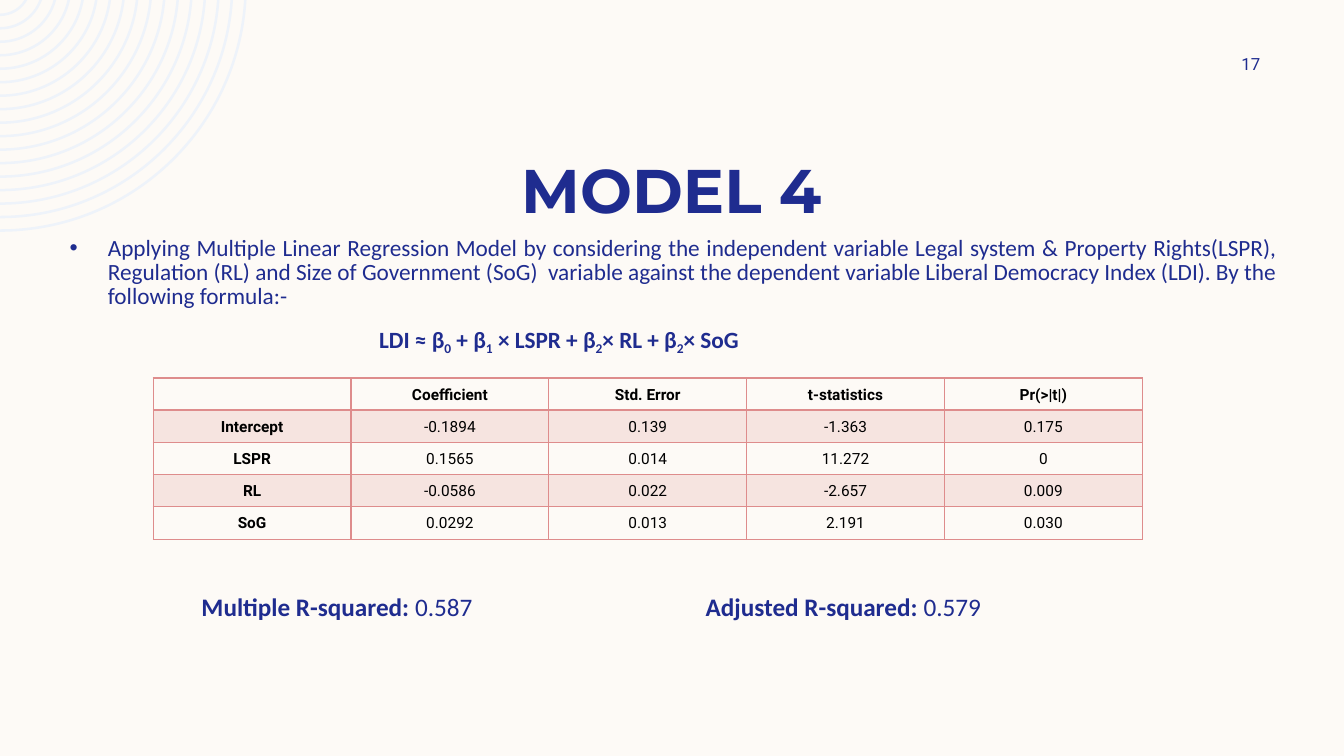
import math

from lxml import etree
from pptx import Presentation
from pptx.dml.color import RGBColor
from pptx.enum.text import MSO_ANCHOR, MSO_AUTO_SIZE, PP_ALIGN
from pptx.oxml.ns import qn
from pptx.util import Inches, Pt

BOTTOM, MIDDLE = MSO_ANCHOR.BOTTOM, MSO_ANCHOR.MIDDLE
LEFT, CENTER = PP_ALIGN.LEFT, PP_ALIGN.CENTER
RIGHT, JUSTIFY = PP_ALIGN.RIGHT, PP_ALIGN.JUSTIFY
NO_AUTOFIT = MSO_AUTO_SIZE.NONE

COLORS = {"paper": "FDFAF6", "ring": "EEF3FA", "navy": "1F2C8F",
          "rose": "DE8C8C", "black": "000000"}
TITLE_FONT = {"name": "Montserrat", "size": Pt(44), "bold": True}
NUMBER_FONT = {"name": "Roboto", "size": Pt(12)}
BODY_FONT = {"name": "Calibri", "size": Pt(16.6)}
SCORE_FONT = {"name": "Calibri", "size": Pt(18)}
CELL_FONT = {"name": "Roboto", "size": Pt(11)}
BODY_PARA = {"alignment": JUSTIFY, "line_spacing": 0.87,
             "space_before": Pt(3.6), "space_after": Pt(8)}
SCORE_PARA = {"alignment": LEFT, "line_spacing": 1.07, "space_after": Pt(8)}
CELL_PARA = {**SCORE_PARA, "alignment": CENTER}

INTRO = ("Applying Multiple Linear Regression Model by considering the "
         "independent variable Legal system & Property Rights(LSPR), "
         "Regulation (RL) and Size of Government (SoG)  variable against the "
         "dependent variable Liberal Democracy Index (LDI). By the following "
         "formula:-")
# Subscripts stand at the odd places
FORMULA = ["LDI ≈ β", "0", " + β", "1", " × LSPR + β", "2", "× RL + β", "2",
           "× SoG"]
SCORES = [("Multiple R-squared: ", "0.587"), ("\tAdjusted R-squared: ", "0.579")]
RESULTS = [
    ["", "Coefficient", "Std. Error", "t-statistics", "Pr(>|t|)"],
    ["Intercept", "-0.1894", "0.139", "-1.363", "0.175"],
    ["LSPR", "0.1565", "0.014", "11.272", "0"],
    ["RL", "-0.0586", "0.022", "-2.657", "0.009"],
    ["SoG", "0.0292", "0.013", "2.191", "0.030"],
]


def rgb(name):
    return RGBColor.from_string(COLORS[name])


def apply(target, values):
    for key, value in values.items():
        setattr(target, key, value)


def add_span(para, text, font, color="navy", bold=False):
    span = para.add_run()
    span.text = text
    apply(span.font, {**font, "bold": bold})
    span.font.color.rgb = rgb(color)
    return span


def place(shape, box):
    left, top, width, height = (Inches(value) for value in box)
    apply(shape, {"left": left, "top": top, "width": width, "height": height})


def merge_curve(lines):
    """Turn three line segments into one cubic curve through their points."""
    curve = etree.Element(qn("a:cubicBezTo"))
    lines[0].addprevious(curve)
    for line in lines:
        curve.append(line[0])
        line.getparent().remove(line)


def add_rings(page, box):
    """Quarter rings around a centre just above the box, cut at its top."""
    left, top, width, height = box
    count, band, lift, inner = 17, 0.025, 0.15, 0.31
    step = (width - inner) / (count - 1)

    def arc(radius):
        start, end = math.asin(lift / radius), math.pi / 2
        pull = 4 / 3 * math.tan((end - start) / 4)
        points = []
        for angle, reach in ((start, 0), (start, pull), (end, -pull), (end, 0)):
            x = math.cos(angle) - reach * math.sin(angle)
            y = math.sin(angle) + reach * math.cos(angle)
            points.append((Inches(left + radius * x),
                           Inches(top - lift + radius * y)))
        return points

    builder = None
    for index in range(count):
        radius = inner + index * step
        first, *others = arc(radius) + arc(radius - band)[::-1]
        if builder is None:
            builder = page.shapes.build_freeform(*first)
        else:
            builder.move_to(*first)
        builder.add_line_segments(others, close=True)
    rings = builder.convert_to_shape()
    # Seven segments per ring: outer curve, straight end, inner curve
    lines = list(rings._element.iter(qn("a:lnTo")))
    for first in range(0, len(lines), 7):
        merge_curve(lines[first:first + 3])
        merge_curve(lines[first + 4:first + 7])
    rings.shadow.inherit = False
    rings.fill.solid()
    rings.fill.fore_color.rgb = rgb("ring")
    rings.line.fill.background()


def add_title(page, box):
    title = page.shapes.title
    place(title, box)
    apply(title.text_frame, {"vertical_anchor": BOTTOM, "word_wrap": True,
                             "auto_size": NO_AUTOFIT})
    para = title.text_frame.paragraphs[0]
    apply(para, {"alignment": CENTER, "line_spacing": 1.0})
    add_span(para, "MODEL 4", TITLE_FONT, bold=True)


def add_page_number(page, box):
    number = page.shapes.add_textbox(*(Inches(value) for value in box))
    apply(number.text_frame, {"vertical_anchor": MIDDLE, "word_wrap": True,
                              "margin_right": 0})
    para = number.text_frame.paragraphs[0]
    para.alignment = RIGHT
    add_span(para, "17", NUMBER_FONT)


def set_bullet(para, margin, indent, sign=None):
    props = para._p.get_or_add_pPr()
    props.set("marL", str(Inches(margin)))
    props.set("indent", str(Inches(indent)))
    if sign:
        etree.SubElement(props, qn("a:buFont"), typeface="Arial")
        etree.SubElement(props, qn("a:buChar"), char=sign)
    else:
        etree.SubElement(props, qn("a:buNone"))


def add_body(page, box):
    body = page.placeholders[1]
    place(body, box)
    frame = body.text_frame
    apply(frame, {"word_wrap": True, "auto_size": NO_AUTOFIT})
    intro, formula = frame.paragraphs[0], frame.add_paragraph()
    for para in (intro, formula):
        apply(para, BODY_PARA)
    set_bullet(intro, 0.38, -0.38, "•")
    add_span(intro, INTRO, BODY_FONT)
    set_bullet(formula, 3.07, 0)
    for index, text in enumerate(FORMULA):
        span = add_span(formula, text, BODY_FONT, bold=True)
        if index % 2:
            span._r.get_or_add_rPr().set("baseline", "-25000")


def set_borders(cell, widths):
    props = cell._tc.get_or_add_tcPr()
    for index, (side, points) in enumerate(widths.items()):
        line = etree.Element(qn("a:ln" + side), w=str(Pt(points)))
        fill = etree.SubElement(line, qn("a:solidFill"))
        etree.SubElement(fill, qn("a:srgbClr"), val=COLORS["rose"])
        props.insert(index, line)


def add_results(page, box):
    rows, columns = len(RESULTS), len(RESULTS[0])
    frame = page.shapes.add_table(rows, columns,
                                  *(Inches(value) for value in box))
    table = frame.table
    apply(table, {"first_row": False, "horz_banding": False})
    for r, values in enumerate(RESULTS):
        for c, text in enumerate(values):
            cell = table.cell(r, c)
            apply(cell, {"vertical_anchor": MIDDLE, "margin_top": 0,
                         "margin_bottom": 0, "margin_left": Inches(0.07),
                         "margin_right": Inches(0.07)})
            para = cell.text_frame.paragraphs[0]
            apply(para, CELL_PARA)
            if text:
                add_span(para, text, CELL_FONT, "black", r == 0 or c == 0)
            # Odd rows carry a pale tint
            if r % 2:
                cell.fill.solid()
                cell.fill.fore_color.rgb = rgb("rose")
                tint = cell._tc.tcPr.find(".//" + qn("a:srgbClr"))
                etree.SubElement(tint, qn("a:alpha"), val="20000")
            else:
                cell.fill.background()
            set_borders(cell, {"L": 1, "R": 1, "T": 2 if r == 1 else 1,
                               "B": 2 if r == 0 else 1})


def add_scores(page, box):
    scores = page.shapes.add_textbox(*(Inches(value) for value in box))
    scores.text_frame.word_wrap = True
    para = scores.text_frame.paragraphs[0]
    apply(para, SCORE_PARA)
    tabs = etree.SubElement(para._p.get_or_add_pPr(), qn("a:tabLst"))
    etree.SubElement(tabs, qn("a:tab"), pos=str(Inches(5)), algn="l")
    for label, value in SCORES:
        add_span(para, label, SCORE_FONT, bold=True)
        add_span(para, value, SCORE_FONT)


# Build the page
deck = Presentation()
deck.slide_width, deck.slide_height = Inches(13.33), Inches(7.5)
page = deck.slides.add_slide(deck.slide_layouts[1])
page.background.fill.solid()
page.background.fill.fore_color.rgb = rgb("paper")
add_rings(page, (0, 0, 2.45, 2.3))
add_title(page, (0.83, 0.8, 11.66, 1.49))
add_page_number(page, (11.42, 0.5, 1.08, 0.27))
add_body(page, (0.59, 2.3, 12.16, 1.38))
add_scores(page, (1.9, 5.8, 9.05, 0.41))
add_results(page, (1.52, 3.75, 9.81, 1.6))
deck.save("out.pptx")
